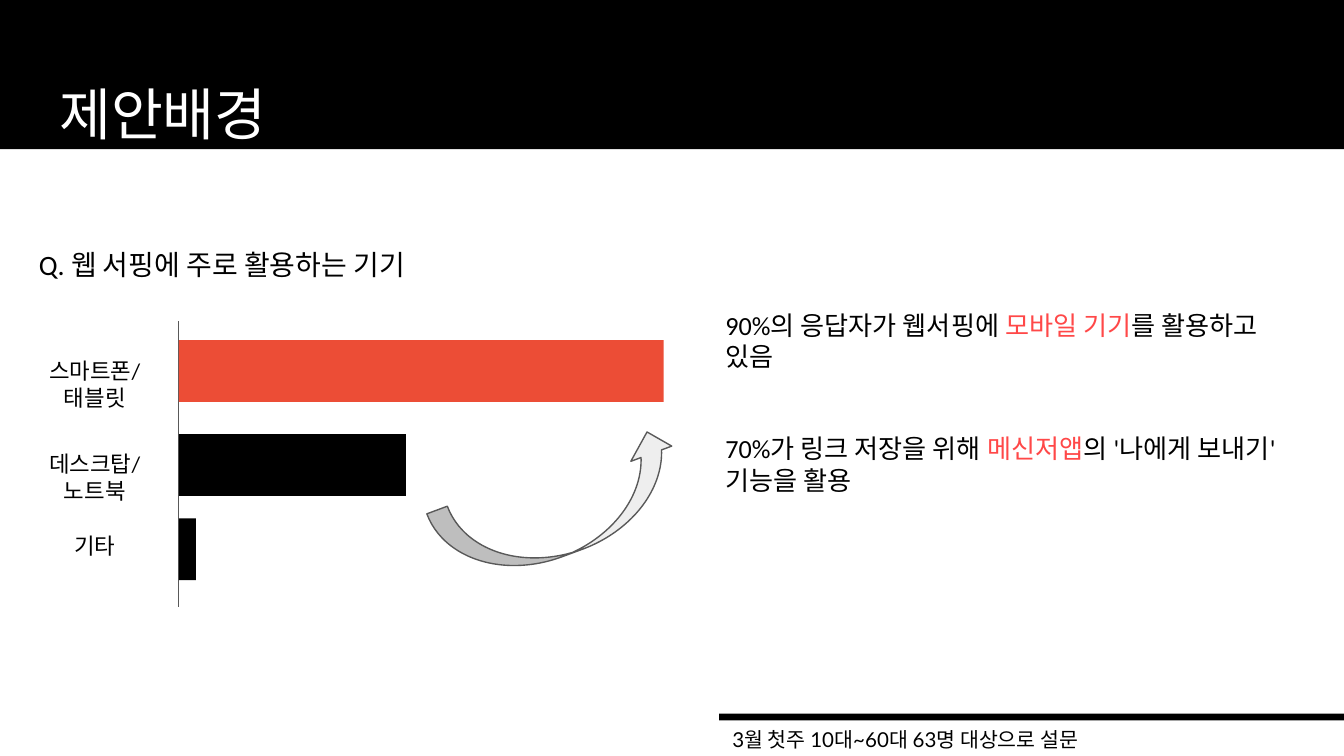
from dataclasses import dataclass

from lxml.etree import SubElement
from pptx import Presentation
from pptx.dml.color import RGBColor
from pptx.enum.shapes import MSO_CONNECTOR as Connector, MSO_SHAPE as Shape
from pptx.enum.text import MSO_ANCHOR as Anchor, MSO_AUTO_SIZE as AutoSize, PP_ALIGN as Align
from pptx.oxml.ns import qn
from pptx.util import Pt

BLACK = RGBColor(0x00, 0x00, 0x00)
WHITE = RGBColor(0xFF, 0xFF, 0xFF)
ORANGE = RGBColor(0xEC, 0x4D, 0x36)
RED = RGBColor(0xFF, 0x48, 0x48)
GRAY = RGBColor(0x59, 0x59, 0x59)
PALE = RGBColor(0xEE, 0xEE, 0xEE)

AXIS_LEFT = 95.8
BAR_HEIGHT = 33.1
FINDING_LEFT = 381.6
FOOTER_LEFT, FOOTER_TOP, FOOTER_WIDTH = 385.2, 382.3, 334.8


@dataclass(frozen=True)
class Area:
    left: float
    top: float
    width: float
    height: float

    def lengths(self) -> tuple:
        return Pt(self.left), Pt(self.top), Pt(self.width), Pt(self.height)


@dataclass(frozen=True)
class Bar:
    label: tuple[str, ...]
    top: float
    width: float
    color: RGBColor
    label_top: float
    label_height: float


@dataclass(frozen=True)
class Finding:
    before: str
    highlight: str
    after: str
    top: float
    height: float


BARS = [
    Bar(("스마트폰/", "태블릿"), 182.2, 259.7, ORANGE, 184.3, 43.9),
    Bar(("데스크탑/", "노트북"), 232.6, 121.7, BLACK, 234, 43.9),
    Bar(("기타",), 277.7, 9.2, BLACK, 277.9, 28.8),
]
FINDINGS = [
    Finding("90%의 응답자가 웹서핑에 ", "모바일 기기", "를 활용하고 있음", 158.4, 31.7),
    Finding("70%가 링크 저장을 위해 ", "메신저앱", "의 '나에게 보내기' 기능을 활용", 224.6, 48.2),
]


def add_filled(page, kind: Shape, area: Area, color: RGBColor):
    shape = page.shapes.add_shape(kind, *area.lengths())
    shape.shadow.inherit = False
    shape.fill.solid()
    shape.fill.fore_color.rgb = color
    shape.line.fill.background()
    return shape


def set_frame(box) -> None:
    frame = box.text_frame
    frame.word_wrap = True
    frame.auto_size = AutoSize.NONE
    frame.vertical_anchor = Anchor.TOP
    frame.margin_left = frame.margin_right = Pt(7.2)
    frame.margin_top = frame.margin_bottom = Pt(7.2)


def set_font(para, size: float, color: RGBColor = BLACK, name: str = "Calibri") -> None:
    para.font.size = Pt(size)
    para.font.name = name
    para.font.color.rgb = color


def add_text(page, area: Area, lines: tuple[str, ...], size: float,
             align: Align = Align.LEFT, name: str = "Calibri") -> None:
    box = page.shapes.add_textbox(*area.lengths())
    set_frame(box)
    box.text_frame.text = "\n".join(lines)
    for para in box.text_frame.paragraphs:
        para.alignment = align
        set_font(para, size, name=name)


def add_bar(page, bar: Bar) -> None:
    add_filled(page, Shape.RECTANGLE, Area(AXIS_LEFT, bar.top, bar.width, BAR_HEIGHT), bar.color)
    add_text(page, Area(4.3, bar.label_top, 92.9, bar.label_height), bar.label, 12, Align.CENTER)


def add_finding(page, finding: Finding) -> None:
    box = page.shapes.add_textbox(*Area(FINDING_LEFT, finding.top, 313.9, finding.height).lengths())
    set_frame(box)
    para = box.text_frame.paragraphs[0]
    set_font(para, 14)
    for text in (finding.before, finding.highlight, finding.after):
        span = para.add_run()
        span.text = text
        if text == finding.highlight:
            span.font.color.rgb = RED


def add_axis(page) -> None:
    axis = page.shapes.add_connector(
        Connector.STRAIGHT, Pt(AXIS_LEFT), Pt(172.1), Pt(AXIS_LEFT), Pt(325.4))
    axis.line.color.rgb = GRAY
    axis.line.width = Pt(0.75)
    SubElement(axis._element.spPr, qn("a:effectLst"))


def add_title(page, text: str) -> None:
    title = page.shapes.title
    title.left, title.top, title.width, title.height = Area(24.5, 35.3, 671, 45.4).lengths()
    set_frame(title)
    title.text_frame.text = text
    para = title.text_frame.paragraphs[0]
    para.alignment = Align.LEFT
    set_font(para, 30.2, WHITE)


def main() -> None:
    deck = Presentation()
    deck.slide_width, deck.slide_height = Pt(720), Pt(405)
    page = deck.slides.add_slide(deck.slide_layouts[5])

    # Header band, kept behind the title
    band = add_filled(page, Shape.RECTANGLE, Area(0, 0, 720, 80), BLACK)
    page.shapes._spTree.insert(2, band._element)
    add_title(page, "제안배경")

    # Survey question and bars
    add_text(page, Area(13.7, 125.3, 236.2, 32.4), ("Q. 웹 서핑에 주로 활용하는 기기",), 15)
    add_axis(page)
    for bar in BARS:
        add_bar(page, bar)

    # Curved arrow rising to the longest bar
    arrow = add_filled(page, Shape.CURVED_RIGHT_ARROW, Area(277.9, 204.5, 46.8, 137.5), PALE)
    arrow.rotation = 249.6
    arrow.line.color.rgb = GRAY
    arrow.line.width = Pt(0.75)

    # Findings
    for finding in FINDINGS:
        add_finding(page, finding)

    # Survey note
    add_filled(page, Shape.RECTANGLE, Area(FOOTER_LEFT, FOOTER_TOP, FOOTER_WIDTH, 3.6), BLACK)
    add_text(page, Area(FOOTER_LEFT, FOOTER_TOP, FOOTER_WIDTH, 28.8),
             ("3월 첫주 10대~60대 63명 대상으로 설문",), 11, name="Lato")

    deck.save("out.pptx")


if __name__ == "__main__":
    main()
